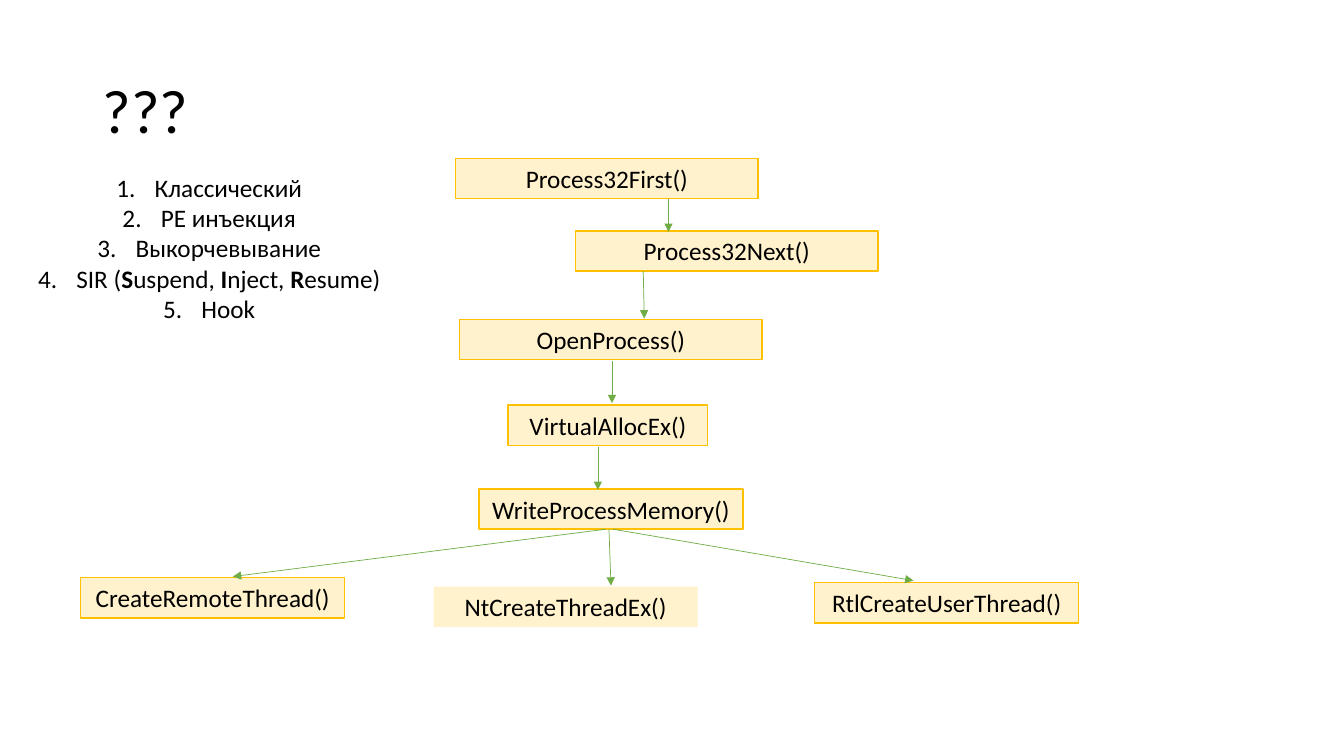
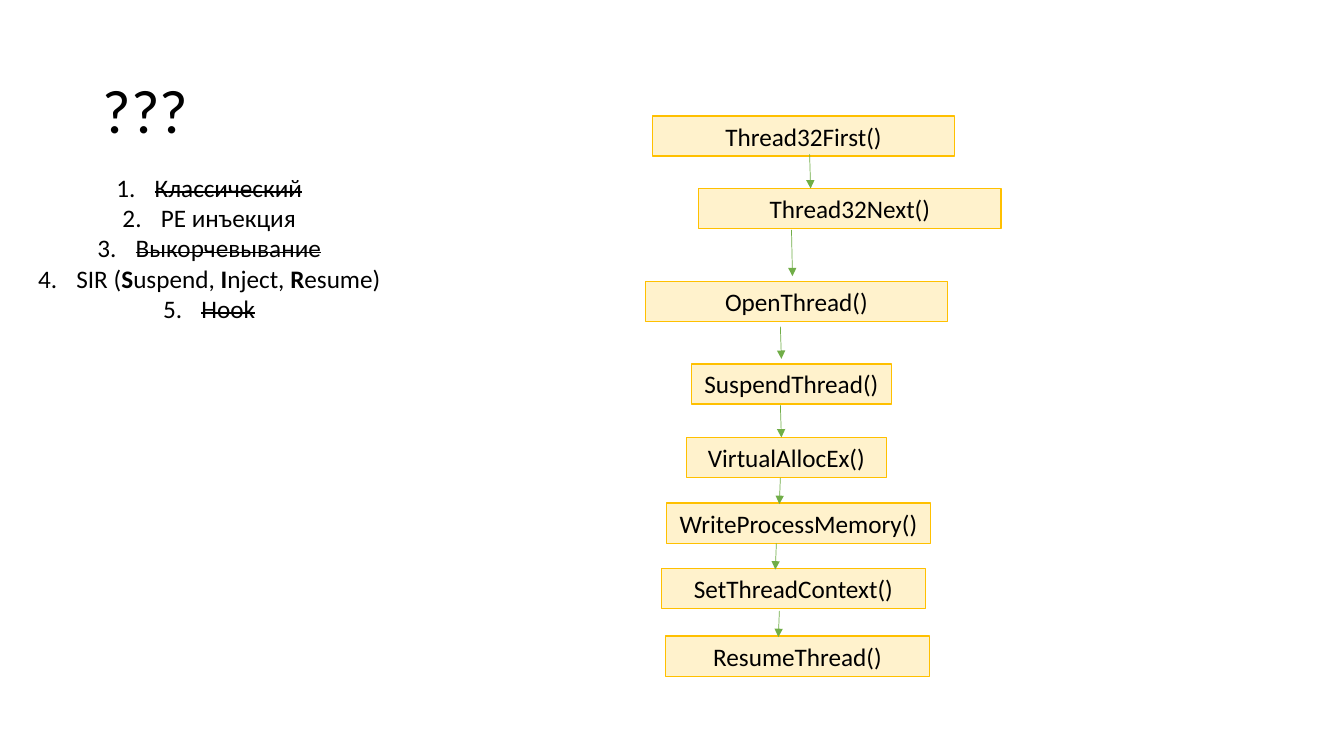
from pptx import Presentation
from pptx.dml.color import RGBColor
from pptx.enum.shapes import MSO_CONNECTOR, MSO_SHAPE
from pptx.enum.text import MSO_ANCHOR, PP_ALIGN
from pptx.oxml.ns import qn
from pptx.util import Inches, Pt

LINE, RECT = MSO_CONNECTOR.STRAIGHT, MSO_SHAPE.RECTANGLE
MIDDLE, TOP = MSO_ANCHOR.MIDDLE, MSO_ANCHOR.TOP
LEFT, CENTER = PP_ALIGN.LEFT, PP_ALIGN.CENTER
WIDE, MID, SLIM = 3, 2.62, 1.98
METHODS = ("Классический", "PE инъекция", "Выкорчевывание",
           "SIR (|S|uspend, |I|nject, |R|esume)", "Hook")


def color(code):
    """Turn a hex string into a colour."""
    return RGBColor.from_string(code)


class Deck:
    """Hold the shared style and the current slide."""

    font, ink = "Calibri", "000000"
    fill, edge, arrow = "FFF2CC", "FFC000", "70AD47"

    def __init__(self):
        self.prs = Presentation()
        self.prs.slide_width, self.prs.slide_height = Inches(13.33), Inches(7.5)
        self.slide = None

    def style(self, par, size, align):
        """Format a paragraph and its runs."""
        par.alignment = align
        for run in par.runs:
            run.font.name, run.font.size = self.font, Pt(size)
            run.font.color.rgb = color(self.ink)

    def page(self, title):
        """Start a slide with its title."""
        self.slide = self.prs.slides.add_slide(self.prs.slide_layouts[5])
        head = self.slide.shapes.title
        head.left, head.top = Inches(0.92), Inches(0.4)
        head.width, head.height = Inches(11.5), Inches(1.45)
        head.text_frame.text = title
        head.text_frame.vertical_anchor = MIDDLE
        par = head.text_frame.paragraphs[0]
        par.line_spacing = 0.9
        self.style(par, 44, LEFT)

    def box(self, text, left, top, width, edged=True):
        """Add a box that names a call."""
        shape = self.slide.shapes.add_shape(
            RECT, Inches(left), Inches(top), Inches(width), Inches(0.4))
        shape.shadow.inherit = False
        shape.fill.solid()
        shape.fill.fore_color.rgb = color(self.fill)
        if edged:
            shape.line.color.rgb = color(self.edge)
            shape.line.width = Pt(1)
        else:
            shape.line.fill.background()
        frame = shape.text_frame
        frame.text, frame.word_wrap = text, True
        frame.vertical_anchor = TOP
        self.style(frame.paragraphs[0], 18, CENTER)

    def link(self, *ends):
        """Add an arrow from one point to another."""
        line = self.slide.shapes.add_connector(LINE, *map(Inches, ends))
        line.line.color.rgb = color(self.arrow)
        line.line.width = Pt(0.5)
        props = line.element.spPr
        tail = props.find(qn("a:ln")).makeelement(
            qn("a:tailEnd"), {"type": "triangle"})
        props.find(qn("a:ln")).append(tail)
        props.append(props.makeelement(qn("a:effectLst"), {}))

    def steps(self, items, struck=()):
        """Add the numbered list; bars set off bold parts."""
        frame = self.slide.shapes.add_textbox(
            Inches(0), Inches(1.66), Inches(4.15), Inches(1.92)).text_frame
        frame.word_wrap = True
        frame.text = "\n".join(items)
        for par, item in zip(frame.paragraphs, items):
            par.clear()
            for spot, part in enumerate(item.split("|")):
                run = par.add_run()
                run.text = part
                run.font.bold = spot % 2 == 1
                if item in struck:
                    run.font._element.set("strike", "sngStrike")
            self.style(par, 18, CENTER)
            props = par._p.get_or_add_pPr()
            props.set("marL", str(Inches(0.38)))
            props.set("indent", str(Inches(-0.38)))
            props.append(props.makeelement(
                qn("a:buAutoNum"), {"type": "arabicPeriod"}))

    def flow(self, boxes, links):
        """Add the boxes and arrows of a call chain."""
        for item in boxes:
            self.box(*item)
        for ends in links:
            self.link(*ends)


def main():
    """Build both slides and save them."""
    deck = Deck()
    deck.page("???")
    deck.flow([
        ("Process32First()", 4.52, 1.57, WIDE),
        ("Process32Next()", 5.71, 2.29, WIDE),
        ("OpenProcess()", 4.56, 3.17, WIDE),
        ("VirtualAllocEx()", 5.04, 4.02, SLIM),
        ("WriteProcessMemory()", 4.75, 4.85, MID),
        ("CreateRemoteThread()", 0.8, 5.73, MID),
        ("NtCreateThreadEx()", 4.3, 5.82, MID, False),
        ("RtlCreateUserThread()", 8.08, 5.78, MID),
    ], [
        (6.63, 1.97, 6.63, 2.3),
        (6.38, 2.69, 6.39, 3.16),
        (6.07, 3.58, 6.07, 4),
        (5.93, 4.43, 5.93, 4.86),
        (6.01, 5.25, 2.31, 5.72),
        (6.04, 5.25, 6.06, 5.81),
        (6.08, 5.25, 9.06, 5.76),
    ])
    deck.steps(METHODS)

    deck.page("???")
    deck.flow([
        ("Thread32First()", 6.47, 1.15, WIDE),
        ("Thread32Next()", 6.93, 1.87, WIDE),
        ("OpenThread()", 6.4, 2.79, WIDE),
        ("SuspendThread()", 6.86, 3.61, SLIM),
        ("VirtualAllocEx()", 6.81, 4.34, SLIM),
        ("WriteProcessMemory()", 6.61, 4.99, MID),
        ("SetThreadContext()", 6.56, 5.64, MID),
        ("ResumeThread()", 6.6, 6.31, MID),
    ], [
        (8.03, 1.53, 8.04, 1.87),
        (7.85, 2.28, 7.86, 2.74),
        (7.74, 3.24, 7.75, 3.56),
        (7.74, 4.02, 7.75, 4.34),
        (7.74, 4.74, 7.73, 5),
        (7.7, 5.39, 7.69, 5.65),
        (7.73, 6.06, 7.72, 6.32),
    ])
    deck.steps(METHODS, METHODS[::2])
    deck.prs.save("out.pptx")


if __name__ == "__main__":
    main()
